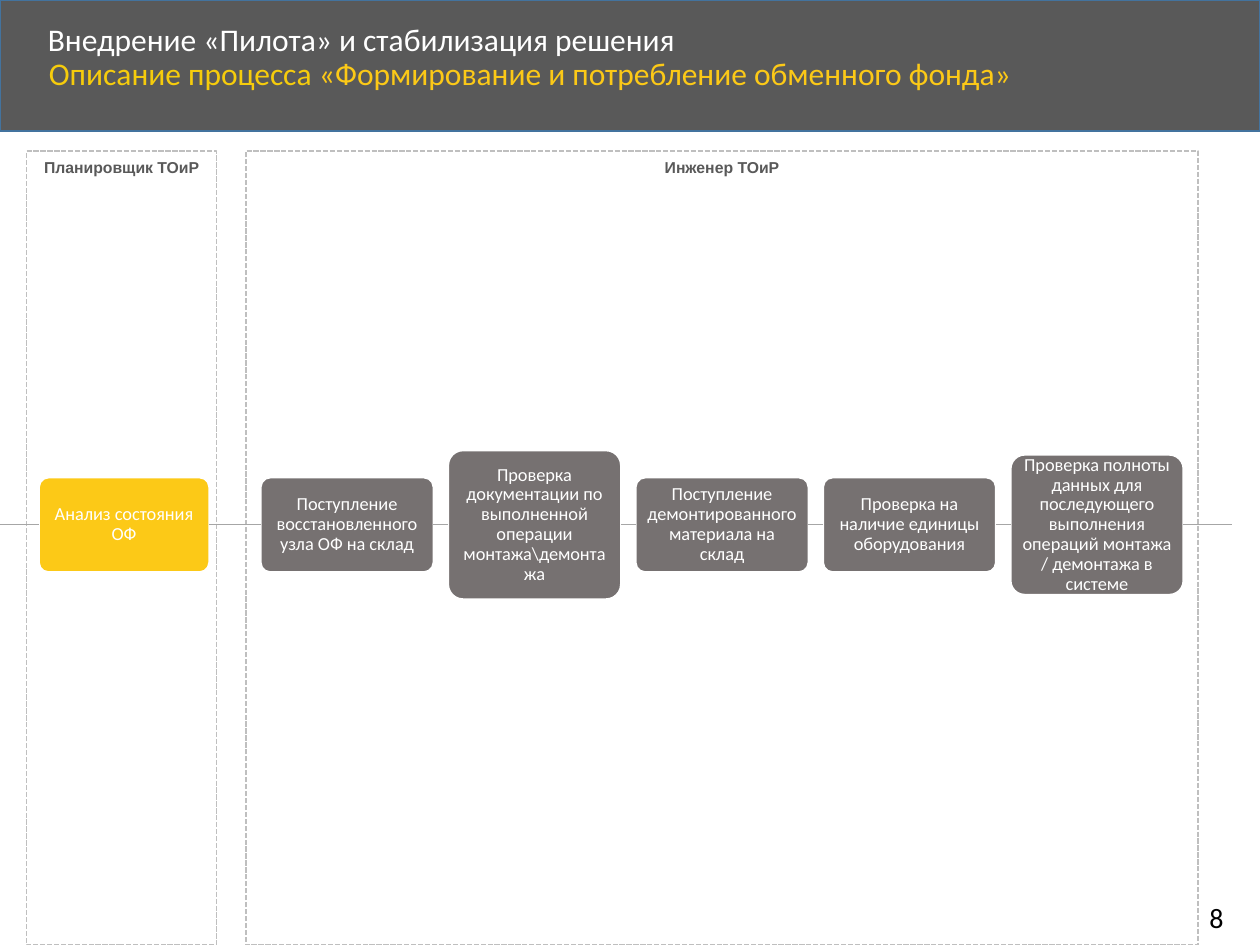
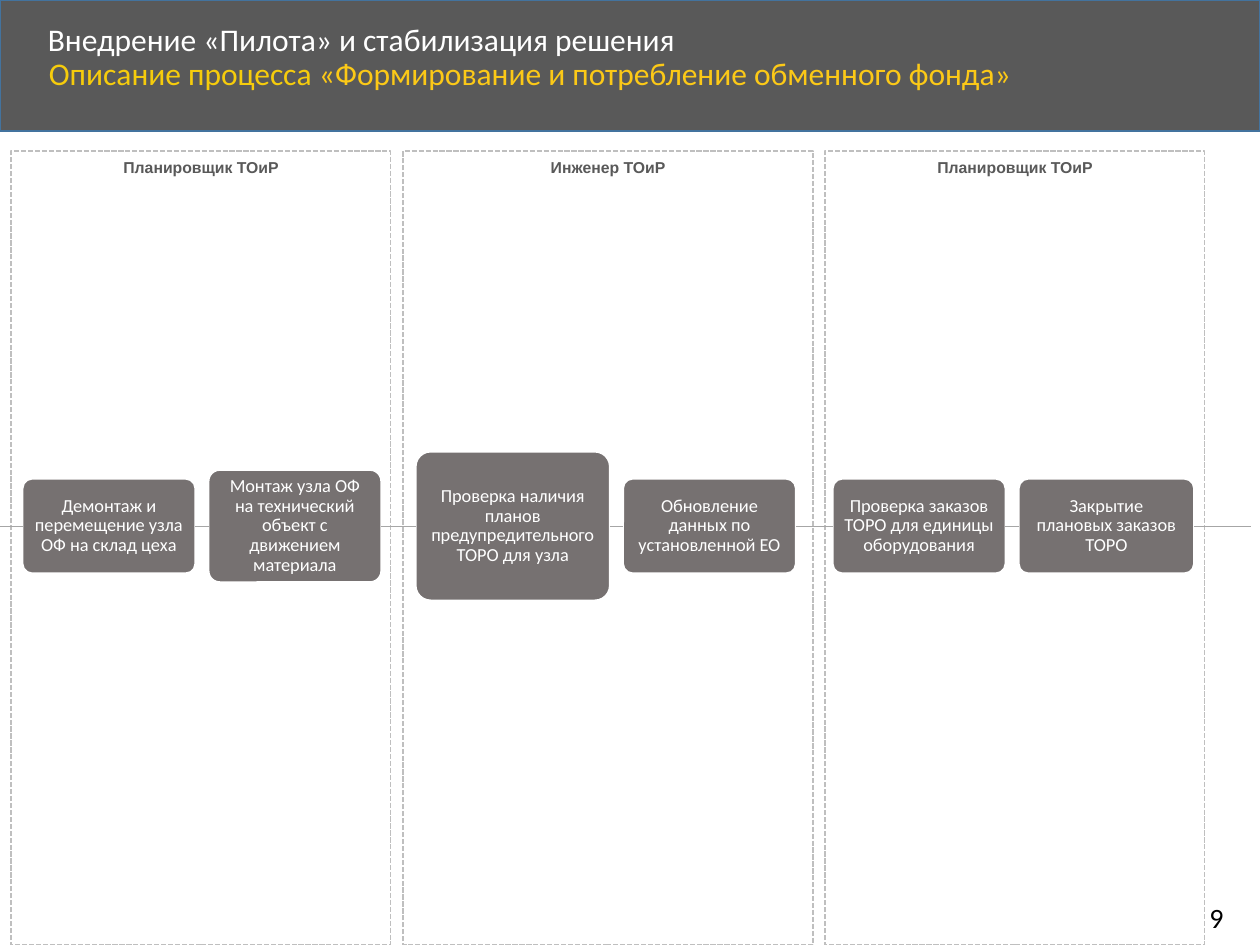
from lxml import etree
from pptx import Presentation
from pptx.dml.color import RGBColor
from pptx.enum.dml import MSO_LINE
from pptx.enum.shapes import MSO_CONNECTOR, MSO_SHAPE
from pptx.enum.text import MSO_ANCHOR, MSO_AUTO_SIZE, PP_ALIGN
from pptx.oxml.ns import qn
from pptx.util import Inches, Pt

COLORS = {
    "band": "595959", "band_edge": "43739E", "white": "FFFFFF", "black": "000000",
    "gold": "FCC917", "dull_gold": "F6CC0C", "step": "767171",
    "lane": "BFBFBF", "link": "A6A6A6",
}
COLS, ROWS = 100, 75          # grid of 0.1 inch cells
LEFT_SITE, RIGHT_SITE = 1, 3  # connection sites
LANE_TOP = 12
CORNER = 0.1

TITLE = "Внедрение «Пилота» и стабилизация решения"
SUBTITLE = [("Описание процесса ", "dull_gold"),
            ("«Формирование и потребление обменного фонда»", "gold")]
PLANNER, ENGINEER = "Планировщик ТОиР", "Инженер ТОиР"

# Lane: name, left, width, left of first step, steps (text, width, height, colour)
SLIDES = [
    dict(number=8, middle=41.65, gap=1.18, line_end=97.8, lanes=[
        (PLANNER, 2.1, 15.1, 3.1, [("Анализ состояния ОФ", 13.5, 7.5, "gold")]),
        (ENGINEER, 19.5, 75.6, 20.7, [
            ("Поступление восстановленного узла ОФ на склад", 13.7, 7.5, "step"),
            ("Проверка документации по выполненной операции монтажа\\демонтажа",
             13.7, 11.8, "step"),
            ("Поступление демонтированного материала на склад", 13.7, 7.5, "step"),
            ("Проверка на наличие единицы оборудования", 13.7, 7.5, "step"),
            ("Проверка полноты данных для последующего выполнения операций "
             "монтажа / демонтажа в системе", 13.7, 11.1, "step"),
        ]),
    ]),
    dict(number=9, middle=41.75, gap=1.06, line_end=99.3, lanes=[
        (PLANNER, 0.9, 30.1, 1.8, [
            ("Демонтаж и перемещение узла ОФ на склад цеха", 13.7, 7.5, "step"),
            ("Монтаж узла ОФ на технический объект с движением материала",
             13.7, 8.9, "step"),
        ]),
        (ENGINEER, 32, 32.5, 33, [
            ("Проверка наличия планов предупредительного ТОРО для узла",
             15.4, 11.8, "step"),
            ("Обновление данных по установленной ЕО", 13.7, 7.5, "step"),
        ]),
        (PLANNER, 65.5, 30.1, 66.1, [
            ("Проверка заказов ТОРО для единицы оборудования", 13.7, 7.5, "step"),
            ("Закрытие плановых заказов ТОРО", 13.9, 7.5, "step"),
        ]),
    ]),
]


class Deck:
    """Holds the style and the current slide."""

    def __init__(self):
        self.prs = Presentation()
        self.prs.slide_width, self.prs.slide_height = Inches(10), Inches(7.5)
        self.slide = None

    def x(self, cols):
        return round(self.prs.slide_width * cols / COLS)

    def y(self, rows):
        return round(self.prs.slide_height * rows / ROWS)

    def rect(self, left, top, width, height):
        return self.x(left), self.y(top), self.x(width), self.y(height)

    @staticmethod
    def color(name):
        return RGBColor.from_string(COLORS[name])

    def add_runs(self, sp, runs, size, font="Calibri", bold=False,
                 align=PP_ALIGN.LEFT, anchor=MSO_ANCHOR.TOP, spacing=1.0, wrap=True):
        tf = sp.text_frame
        tf.word_wrap, tf.auto_size = wrap, MSO_AUTO_SIZE.NONE
        tf.vertical_anchor = anchor
        p = tf.paragraphs[0]
        p.alignment, p.line_spacing = align, spacing
        for text, color in runs:
            r = p.add_run()
            r.text = text
            r.font.name, r.font.size, r.font.bold = font, Pt(size), bold
            r.font.color.rgb = self.color(color)

    def box(self, kind, area, fill, line):
        sp = self.slide.shapes.add_shape(kind, *self.rect(*area))
        sp.shadow.inherit = False
        if fill:
            sp.fill.solid()
            sp.fill.fore_color.rgb = self.color(fill)
        else:
            sp.fill.background()
        sp.line.color.rgb = self.color(line)
        sp.line.width = Pt(1)
        return sp

    def text(self, area, runs, size, **style):
        sp = self.slide.shapes.add_textbox(*self.rect(*area))
        self.add_runs(sp, runs, size, **style)

    def new_slide(self, number):
        self.slide = self.prs.slides.add_slide(self.prs.slide_layouts[5])
        # Header band goes behind the title
        band = self.box(MSO_SHAPE.RECTANGLE, (0, 0, COLS, 10.4), "band", "band_edge")
        self.slide.shapes.element.insert(2, band.element)
        title = self.slide.shapes.title
        title.left, title.top, title.width, title.height = self.rect(2.8, 1.4, 80.7, 3.8)
        self.add_runs(title, [(TITLE, "white")], 18, anchor=MSO_ANCHOR.MIDDLE,
                      spacing=0.9)
        self.text((2.9, 4.1, 86.7, 4.5), SUBTITLE, 18, spacing=0.9)
        self.text((95, 71, 4.6, 3.7), [(str(number), "black")], 16, wrap=False)

    def lane(self, name, left, width):
        area = (left, LANE_TOP, width, ROWS - LANE_TOP)
        sp = self.box(MSO_SHAPE.RECTANGLE, area, None, "lane")
        sp.line.dash_style = MSO_LINE.SQUARE_DOT
        self.add_runs(sp, [(name, "band")], 9, font="Arial", bold=True,
                      align=PP_ALIGN.CENTER)

    def step(self, text, left, middle, width, height, fill):
        area = (left, middle - height / 2, width, height)
        sp = self.box(MSO_SHAPE.ROUNDED_RECTANGLE, area, fill, "white")
        sp.adjustments[0] = CORNER
        tf = sp.text_frame
        # The rounded corners already inset the text by 0.29 of their radius
        inset = self.x(0.9 - 0.29 * CORNER * min(width, height))
        tf.margin_left = tf.margin_right = inset
        tf.margin_top = tf.margin_bottom = Inches(0.01)
        self.add_runs(sp, [(text, "white")], 10.5, align=PP_ALIGN.CENTER,
                      anchor=MSO_ANCHOR.MIDDLE, spacing=0.9)
        return sp

    def link(self, start, end, middle, before=None, after=None):
        y = self.y(middle)
        line = self.slide.shapes.add_connector(
            MSO_CONNECTOR.STRAIGHT, self.x(start), y, self.x(end), y)
        if before is not None:
            line.begin_connect(before, RIGHT_SITE)
        if after is not None:
            line.end_connect(after, LEFT_SITE)
        line.line.color.rgb = self.color("link")
        line.line.width = Pt(0.5)
        etree.SubElement(line.element.spPr, qn("a:effectLst"))

    def process(self, lanes, middle, gap, line_end):
        steps = []
        for name, left, width, step_left, items in lanes:
            self.lane(name, left, width)
            for text, step_width, height, fill in items:
                sp = self.step(text, step_left, middle, step_width, height, fill)
                steps.append((sp, step_left, step_left + step_width))
                step_left += step_width + gap
        # Links run from the slide edge through every step
        stops = [(None, 0, 0), *steps, (None, line_end, line_end)]
        for (before, _, start), (after, end, _) in zip(stops, stops[1:]):
            self.link(start, end, middle, before, after)


def main():
    deck = Deck()
    for data in SLIDES:
        deck.new_slide(data["number"])
        deck.process(data["lanes"], data["middle"], data["gap"], data["line_end"])
    deck.prs.save("out.pptx")


if __name__ == "__main__":
    main()
